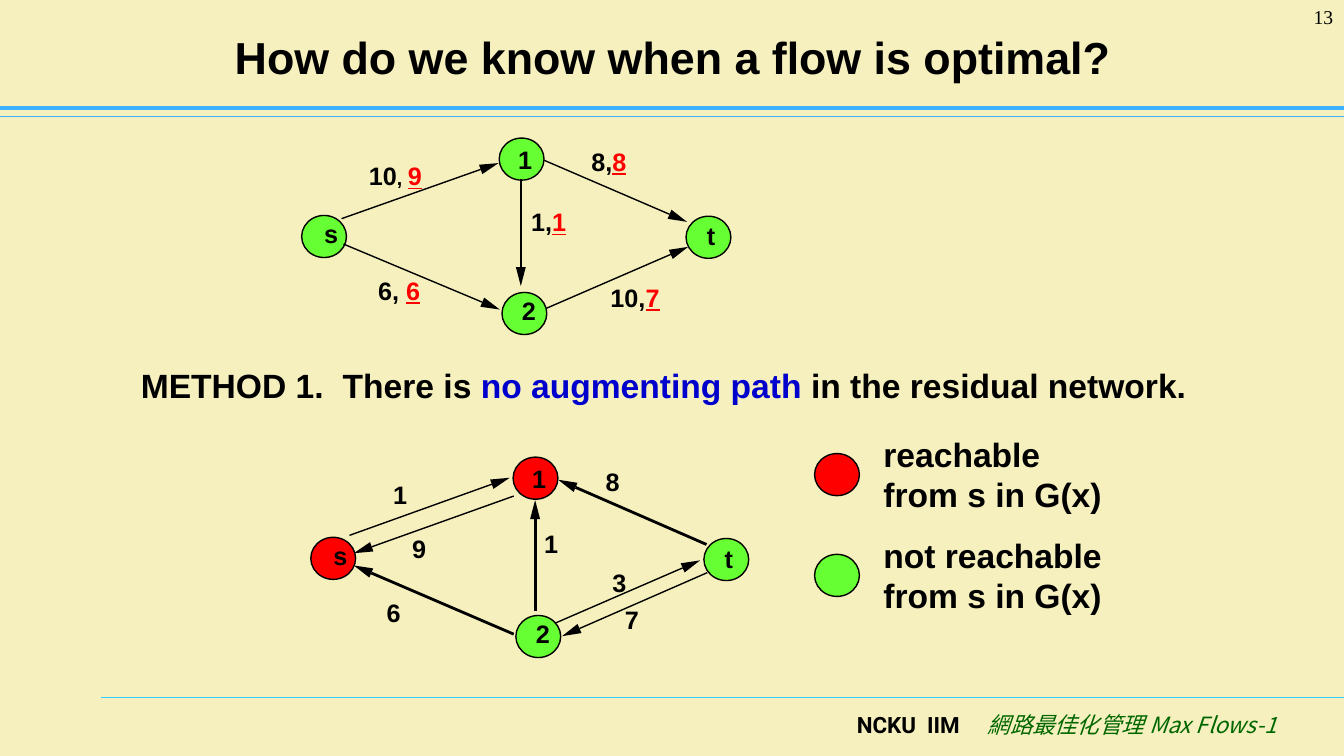
import math

import pptx
import pptx.dml.color
import pptx.enum.shapes
import pptx.enum.text
import pptx.util
from dataclasses import dataclass
from lxml import etree
from pptx.oxml.ns import qn

Cm, Pt = pptx.util.Cm, pptx.util.Pt
ALIGN = pptx.enum.text.PP_ALIGN
MIDDLE = pptx.enum.text.MSO_ANCHOR.MIDDLE


@dataclass(frozen=True)
class Theme:
    paper: str = "F5F0BD"
    ink: str = "000000"
    reached: str = "FF0000"
    unreached: str = "66FF33"
    flow: str = "FF0000"
    accent: str = "0000CC"
    course: str = "006600"
    title_rule: str = "3DB0FF"
    footer_rule: str = "33CCFF"
    sans: str = "Arial"
    serif: str = "Times New Roman"
    institute_font: str = "Roboto"
    course_font: str = "Noto Sans CJK SC"
    title_size: int = 32
    body_size: int = 24
    label_size: int = 18
    footer_size: int = 16
    small_size: int = 14


T = Theme()


def run(text, size=T.label_size, color=T.ink, font=T.sans, bold=True, italic=False, underline=False):
    return dict(text=text, size=size, color=color, font=font, bold=bold, italic=italic, underline=underline)


def flow(text):
    return run(text, color=T.flow, underline=True)


# Content: all positions in centimetres
WIDTH, HEIGHT = 33.88, 19.05
NODE_SIZE = (1.13, 1.06)
HEAD_LENGTH, HEAD_WIDTH = 0.48, 0.25
THIN, THICK = 1, 2

RULES = [  # left, y, colour, points
    (2.54, 17.57, T.footer_rule, 0.8),
    (0, 2.94, T.title_rule, 0.8),
    (0, 2.72, T.title_rule, 2.5),
]
NAME_INSETS = {"s": (0.36, 0.14), "1": (0.18, 0), "2": (0.23, 0.15), "t": (0.13, 0.08)}  # left, bottom

flow_network = dict(
    nodes={"s": (8.17, 5.96), "1": (13.15, 4.01), "2": (13.22, 7.9), "t": (17.86, 5.98)},
    reachable="",
    arcs=[  # tail, tip, points
        ((8.61, 5.51), (12.57, 4.11), THIN),
        ((8.66, 6.15), (12.6, 7.8), THIN),
        ((13.72, 4.04), (17.32, 5.59), THIN),
        ((13.77, 7.77), (17.35, 6.22), THIN),
        ((13.13, 4.52), (13.13, 7.21), THIN),
    ],
    labels=[  # left, top, runs
        (9.3, 4.04, [run("10"), run(", ", size=T.small_size), flow("9")]),
        (14.91, 3.68, [run("8,"), flow("8")]),
        (13.39, 5.21, [run("1,"), flow("1")]),
        (15.39, 7.11, [run("10,"), flow("7")]),
        (9.53, 6.93, [run("6, "), flow("6")]),
    ],
)
residual_network = dict(
    nodes={"s": (8.4, 14.07), "1": (13.5, 12.05), "2": (13.57, 16.04), "t": (18.31, 14.1)},
    reachable="s1",
    arcs=[
        ((8.81, 13.49), (12.85, 12.04), THIN),
        ((12.95, 12.5), (8.92, 13.94), THIN),
        ((12.95, 15.98), (8.92, 14.25), THICK),
        ((17.81, 13.72), (14.07, 12.09), THICK),
        ((14, 15.7), (17.65, 14.12), THIN),
        ((17.83, 14.43), (14.17, 16.03), THIN),
        ((13.49, 15.39), (13.49, 12.6), THICK),
    ],
    labels=[
        (9.91, 12.09, [run("1")]),
        (10.39, 13.44, [run("9")]),
        (15.27, 11.76, [run("8")]),
        (13.72, 13.31, [run("1")]),
        (15.44, 14.3, [run("3")]),
        (15.75, 15.24, [run("7")]),
        (9.75, 15.06, [run("6")]),
    ],
)
legend = [(T.reached, "reachable from s in G(x)"), (T.unreached, "not reachable from s in G(x)")]
LEGEND_TOP, LEGEND_STEP = 10.8, 2.54

title = [run("How do we know when a flow is optimal?", size=T.title_size)]
method = [
    run("METHOD 1.\tThere is ", size=T.body_size),
    run("no augmenting path", size=T.body_size, color=T.accent),
    run(" in the residual network.", size=T.body_size),
]
page_number = [run("13", size=T.small_size, font=T.serif, bold=False)]
footer = [
    run("NCKU\tIIM\t", size=T.footer_size, font=T.institute_font),
    run("網路最佳化管理 Max Flows-1", size=T.footer_size, color=T.course,
        font=T.course_font, bold=False, italic=True),
]

presentation = pptx.Presentation()
presentation.slide_width, presentation.slide_height = Cm(WIDTH), Cm(HEIGHT)
slide = presentation.slides.add_slide(presentation.slide_layouts[6])


def rgb(color):
    return pptx.dml.color.RGBColor.from_string(color)


def paint(fill, color):
    fill.solid()
    fill.fore_color.rgb = rgb(color)


def write(frame, runs, align=ALIGN.LEFT, tabs=()):
    paragraph = frame.paragraphs[0]
    paragraph.alignment = align
    if tabs:
        stops = etree.SubElement(paragraph._p.get_or_add_pPr(), qn("a:tabLst"))
        for stop in tabs:
            etree.SubElement(stops, qn("a:tab"), pos=str(Cm(stop)), algn="l")
    for item in runs:
        piece = paragraph.add_run()
        piece.text = item["text"]
        font = piece.font
        font.size, font.name = Pt(item["size"]), item["font"]
        font.bold, font.italic, font.underline = item["bold"], item["italic"], item["underline"]
        font.color.rgb = rgb(item["color"])
        etree.SubElement(piece._r.get_or_add_rPr(), qn("a:ea"), typeface=item["font"])


def set_insets(frame, left, top, right, bottom):
    frame.margin_left, frame.margin_top = Cm(left), Cm(top)
    frame.margin_right, frame.margin_bottom = Cm(right), Cm(bottom)


def add_text(left, top, width, height, runs, insets=(0.25, 0.13, 0.25, 0.13), anchor=None, **layout):
    frame = slide.shapes.add_textbox(Cm(left), Cm(top), Cm(width), Cm(height)).text_frame
    frame.word_wrap = True
    set_insets(frame, *insets)
    if anchor is not None:
        frame.vertical_anchor = anchor
    write(frame, runs, **layout)


def add_line(start, end, color, points):
    line = slide.shapes.add_connector(
        pptx.enum.shapes.MSO_CONNECTOR.STRAIGHT, *(Cm(value) for value in (*start, *end)))
    line.line.color.rgb, line.line.width = rgb(color), Pt(points)
    etree.SubElement(line._element.spPr, qn("a:effectLst"))


def add_arc(tail, tip, points):
    length = math.dist(tail, tip)
    ux, uy = (tip[0] - tail[0]) / length, (tip[1] - tail[1]) / length
    base = (tip[0] - HEAD_LENGTH * ux, tip[1] - HEAD_LENGTH * uy)
    add_line(tail, base, T.ink, points)
    corners = [(Cm(base[0] - side * uy), Cm(base[1] + side * ux))
               for side in (HEAD_WIDTH / 2, -HEAD_WIDTH / 2)]
    outline = slide.shapes.build_freeform(Cm(tip[0]), Cm(tip[1]))
    outline.add_line_segments(corners, close=True)
    head = outline.convert_to_shape()
    head.shadow.inherit = False
    paint(head.fill, T.ink)
    head.line.fill.background()


def add_node(center, color, name=None):
    width, height = NODE_SIZE
    node = slide.shapes.add_shape(
        pptx.enum.shapes.MSO_SHAPE.OVAL,
        Cm(center[0] - width / 2), Cm(center[1] - height / 2), Cm(width), Cm(height))
    node.shadow.inherit = False
    paint(node.fill, color)
    node.line.color.rgb, node.line.width = rgb(T.ink), Pt(1)
    if name:
        left, bottom = NAME_INSETS[name]
        node.text_frame.word_wrap = False
        node.text_frame.vertical_anchor = MIDDLE
        set_insets(node.text_frame, left, 0, 0, bottom)
        write(node.text_frame, [run(name)], align=ALIGN.CENTER)


# Background, rules, title and footer
paint(slide.background.fill, T.paper)
for left, y, color, points in RULES:
    add_line((left, y), (WIDTH, y), color, points)
add_text(21.35, 17.78, 11.8, 1.27, footer, tabs=(1.77, 3.3))
add_text(1.73, 0.33, 30.48, 2.21, title, anchor=MIDDLE, align=ALIGN.CENTER)
add_text(31.04, 0, 2.82, 1.27, page_number, align=ALIGN.RIGHT)

# Both networks
for network in (flow_network, residual_network):
    for name, center in network["nodes"].items():
        add_node(center, T.reached if name in network["reachable"] else T.unreached, name)
    for arc in network["arcs"]:
        add_arc(*arc)
    for left, top, runs in network["labels"]:
        add_text(left, top, 0.75 * len(runs), 0.76, runs, insets=(0, 0, 0, 0))

# Optimality criterion and legend
add_text(3.3, 9.07, 27.56, 1.3, method, tabs=(5.09,))
for row, (color, meaning) in enumerate(legend):
    top = LEGEND_TOP + row * LEGEND_STEP
    add_node((21.1, top + 1.16), color)
    add_text(22.02, top, 6.2, 2.29, [run(meaning, size=T.body_size)])

presentation.save("out.pptx")
